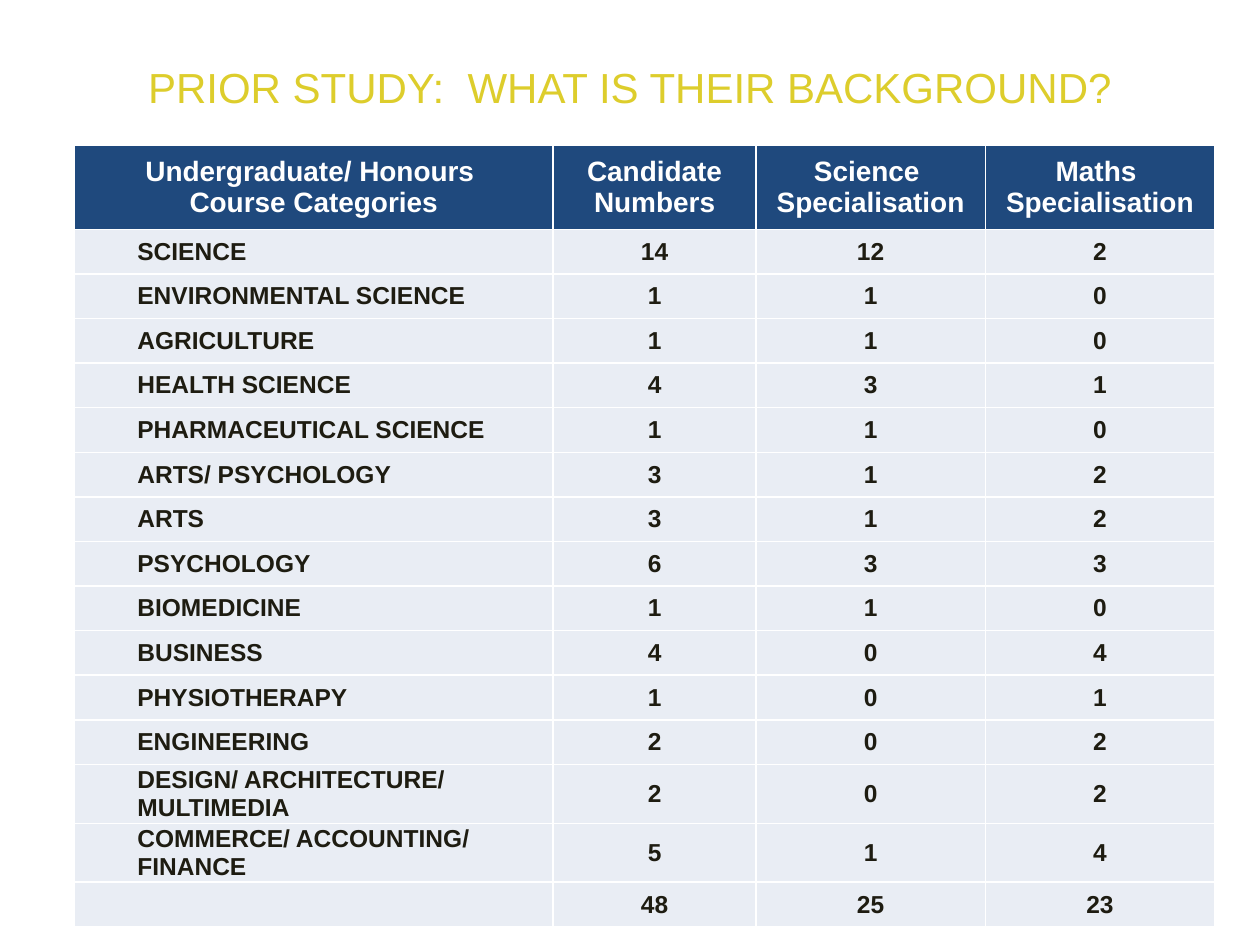
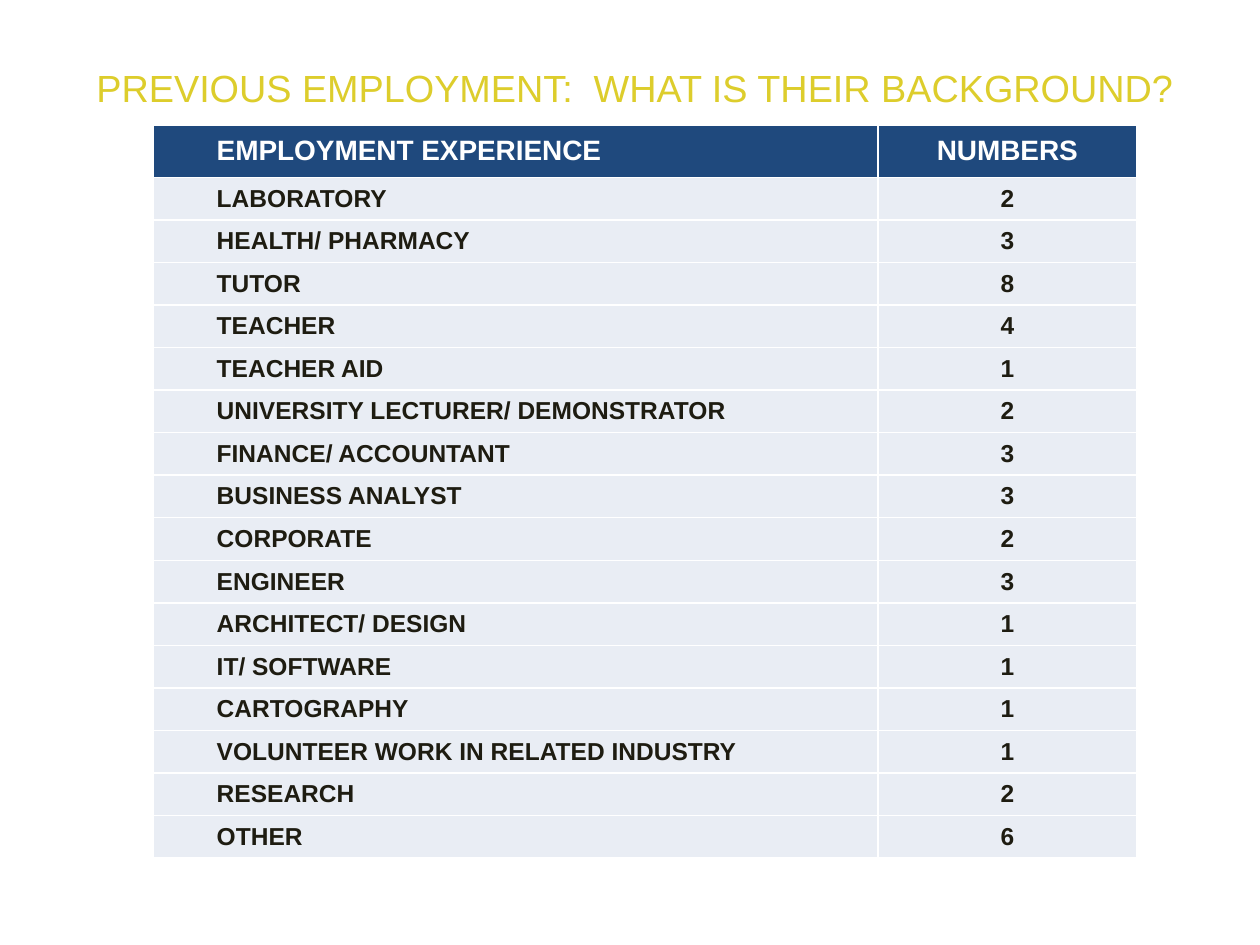
from dataclasses import dataclass

import lxml.etree
import pptx
import pptx.dml.color
import pptx.enum.text
import pptx.oxml.ns
import pptx.util

Inches = pptx.util.Inches
ALIGN = pptx.enum.text.PP_ALIGN
MIDDLE = pptx.enum.text.MSO_ANCHOR.MIDDLE

FONT = "Arial"
TITLE_COLOUR = "DDCD2C"
HEADER_FILL = "1F497D"
BODY_FILL = "E9EDF4"
BODY_TEXT = "1E1C11"
WHITE = "FFFFFF"


@dataclass
class TableSlide:
    title: str
    title_size: float
    left: float
    top: float
    column_widths: list[float]
    header_height: float
    body_height: float
    header: list[str]
    indent_header: bool
    rows: list[tuple]


PRIOR_STUDY = TableSlide(
    title="PRIOR STUDY:  WHAT IS THEIR BACKGROUND?",
    title_size=24,
    left=0.59,
    top=1.15,
    column_widths=[3.8, 1.61, 1.82, 1.82],
    header_height=0.67,
    body_height=5.31,
    header=[
        "Undergraduate/ Honours \nCourse Categories",
        "Candidate\nNumbers",
        "Science \nSpecialisation",
        "Maths \nSpecialisation",
    ],
    indent_header=False,
    rows=[
        ("SCIENCE", 14, 12, 2),
        ("ENVIRONMENTAL SCIENCE", 1, 1, 0),
        ("AGRICULTURE", 1, 1, 0),
        ("HEALTH SCIENCE", 4, 3, 1),
        ("PHARMACEUTICAL SCIENCE", 1, 1, 0),
        ("ARTS/ PSYCHOLOGY", 3, 1, 2),
        ("ARTS", 3, 1, 2),
        ("PSYCHOLOGY", 6, 3, 3),
        ("BIOMEDICINE", 1, 1, 0),
        ("BUSINESS", 4, 0, 4),
        ("PHYSIOTHERAPY", 1, 0, 1),
        ("ENGINEERING", 2, 0, 2),
        ("DESIGN/ ARCHITECTURE/ MULTIMEDIA", 2, 0, 2),
        ("COMMERCE/ ACCOUNTING/ FINANCE", 5, 1, 4),
        ("", 48, 25, 23),
    ],
)

PREVIOUS_EMPLOYMENT = TableSlide(
    title=" PREVIOUS EMPLOYMENT:  WHAT IS THEIR BACKGROUND?",
    title_size=21.6,
    left=1.22,
    top=0.99,
    column_widths=[5.75, 2.05],
    header_height=0.42,
    body_height=5.4,
    header=["EMPLOYMENT EXPERIENCE", "NUMBERS"],
    indent_header=True,
    rows=[
        ("LABORATORY", 2),
        ("HEALTH/ PHARMACY", 3),
        ("TUTOR", 8),
        ("TEACHER", 4),
        ("TEACHER AID", 1),
        ("UNIVERSITY LECTURER/ DEMONSTRATOR", 2),
        ("FINANCE/ ACCOUNTANT", 3),
        ("BUSINESS ANALYST", 3),
        ("CORPORATE", 2),
        ("ENGINEER", 3),
        ("ARCHITECT/ DESIGN", 1),
        ("IT/ SOFTWARE", 1),
        ("CARTOGRAPHY", 1),
        ("VOLUNTEER WORK IN RELATED INDUSTRY", 1),
        ("RESEARCH", 2),
        ("OTHER", 6),
    ],
)


def rgb(colour: str) -> pptx.dml.color.RGBColor:
    return pptx.dml.color.RGBColor.from_string(colour)


def write_text(text_frame, text: str, *, size: float, colour: str,
               bold: bool = False, indented: bool = False) -> None:
    """Write one paragraph per line, centred unless indented."""
    text_frame.word_wrap = True
    text_frame.text = text
    for paragraph in text_frame.paragraphs:
        if indented:
            paragraph.level = 1
            properties = paragraph._p.get_or_add_pPr()
            properties.set("marL", str(Inches(0.5)))
            properties.set("indent", "0")
        else:
            paragraph.alignment = ALIGN.CENTER
        for run in paragraph.runs:
            run.font.name = FONT
            run.font.size = pptx.util.Pt(size)
            run.font.bold = bold
            run.font.color.rgb = rgb(colour)


def add_borders(cell, colour: str, width: float) -> None:
    """Line all four sides; call before filling, as lines precede the fill."""
    qualified = pptx.oxml.ns.qn
    properties = cell._tc.get_or_add_tcPr()
    for side in ("a:lnL", "a:lnR", "a:lnT", "a:lnB"):
        line = lxml.etree.SubElement(properties, qualified(side), w=str(pptx.util.Pt(width)))
        fill = lxml.etree.SubElement(line, qualified("a:solidFill"))
        lxml.etree.SubElement(fill, qualified("a:srgbClr"), val=colour)


def format_cell(cell, fill_colour: str) -> None:
    cell.margin_left = cell.margin_right = cell.margin_top = cell.margin_bottom = 0
    cell.vertical_anchor = MIDDLE
    add_borders(cell, WHITE, 1)
    cell.fill.solid()
    cell.fill.fore_color.rgb = rgb(fill_colour)


def add_title(slide, text: str, size: float) -> None:
    box = slide.shapes.add_textbox(Inches(0.5), Inches(0.3), Inches(9), Inches(0.78))
    box.text_frame.vertical_anchor = MIDDLE
    write_text(box.text_frame, text, size=size, colour=TITLE_COLOUR)


def add_data_table(slide, content: TableSlide) -> None:
    table = slide.shapes.add_table(
        len(content.rows) + 1, len(content.column_widths),
        Inches(content.left), Inches(content.top),
        Inches(sum(content.column_widths)),
        Inches(content.header_height + content.body_height),
    ).table
    table.horz_banding = False
    for column, width in zip(table.columns, content.column_widths):
        column.width = Inches(width)
    for index, values in enumerate([content.header, *content.rows]):
        is_header = index == 0
        table.rows[index].height = Inches(
            content.header_height if is_header else content.body_height / len(content.rows))
        for column_index, value in enumerate(values):
            cell = table.cell(index, column_index)
            format_cell(cell, HEADER_FILL if is_header else BODY_FILL)
            write_text(
                cell.text_frame, str(value), bold=True,
                size=16 if is_header else 14,
                colour=WHITE if is_header else BODY_TEXT,
                indented=column_index == 0 and (content.indent_header or not is_header),
            )


def main() -> None:
    presentation = pptx.Presentation()
    presentation.slide_width = Inches(10)
    presentation.slide_height = Inches(7.5)
    blank_layout = presentation.slide_layouts[6]
    for content in (PRIOR_STUDY, PREVIOUS_EMPLOYMENT):
        slide = presentation.slides.add_slide(blank_layout)
        add_title(slide, content.title, content.title_size)
        add_data_table(slide, content)
    presentation.save("out.pptx")


if __name__ == "__main__":
    main()
